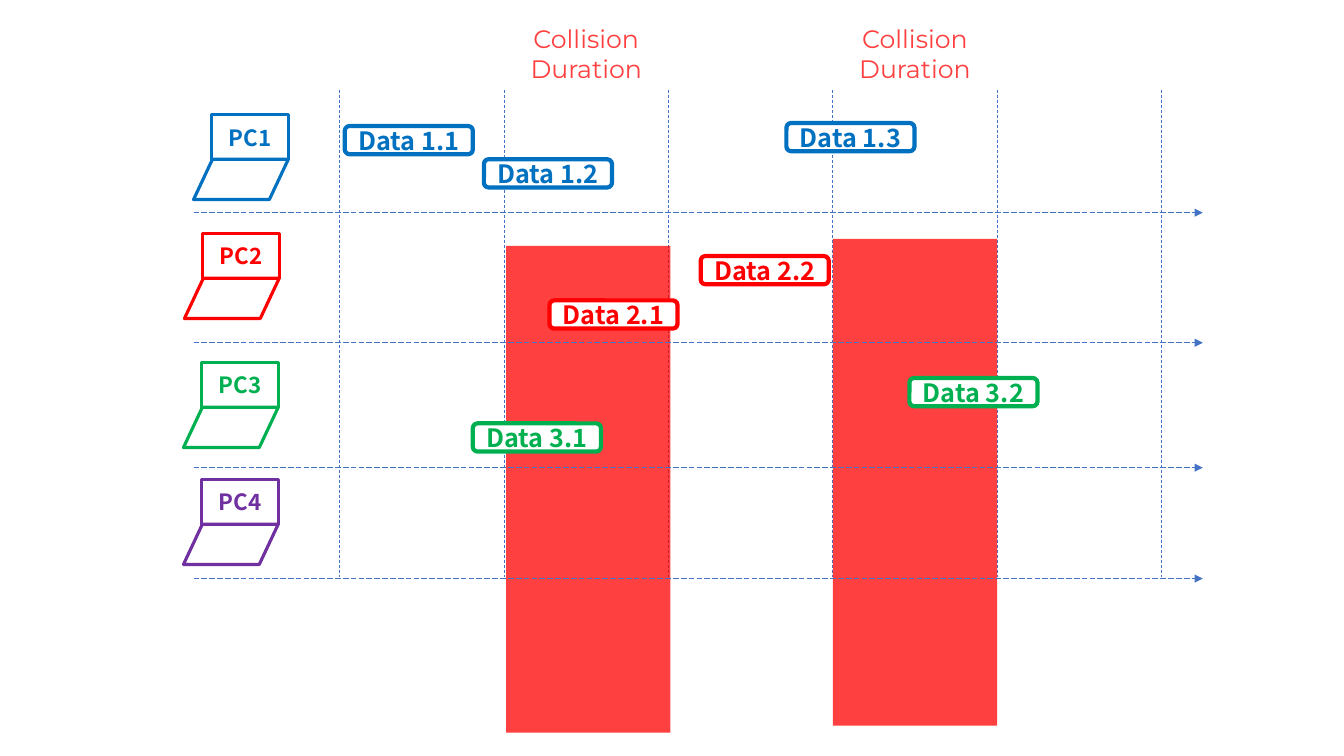
import pptx
import pptx.util
import pptx.dml.color
import pptx.enum.dml
import pptx.enum.shapes
import pptx.enum.text
import pptx.oxml.ns
from lxml import etree

Inches, Pt, RGB = pptx.util.Inches, pptx.util.Pt, pptx.dml.color.RGBColor
SHAPE, DASH = pptx.enum.shapes.MSO_SHAPE, pptx.enum.dml.MSO_LINE
qn = pptx.oxml.ns.qn

BLUE, RED = RGB(0x00, 0x70, 0xC0), RGB(0xFF, 0x00, 0x00)
GREEN, PURPLE = RGB(0x00, 0xB0, 0x50), RGB(0x70, 0x30, 0xA0)
GRID, CORAL, WHITE = RGB(0x44, 0x72, 0xC4), RGB(0xFF, 0x40, 0x40), RGB(0xFF, 0xFF, 0xFF)
BOLD_FONT, LABEL_FONT = "Noto Sans CJK JP", "Montserrat"

SLOT_LEFT, SLOT_W, SLOT_TOP, SLOT_BOTTOM = 3.37, 1.63, 0.89, 5.72
BAR_H = 4.83
PACKET_W, PACKET_H = 1.27, 0.28
SCREEN_H, KEYBOARD_H, KEYBOARD_SHIFT = 0.44, 0.4, 0.18

LANES = [
    ("PC1", BLUE, 1.92, 1.14, 2.11, [("Data 1.1", 3.42, 1.25), ("Data 1.2", 4.8, 1.58), ("Data 1.3", 7.8, 1.22)]),
    ("PC2", RED, 1.83, 2.32, 3.4, [("Data 2.1", 5.45, 2.98), ("Data 2.2", 6.95, 2.54)]),
    ("PC3", GREEN, 1.82, 3.6, 4.64, [("Data 3.1", 4.69, 4.2), ("Data 3.2", 9.02, 3.75)]),
    ("PC4", PURPLE, 1.82, 4.76, 5.74, []),
]
COLLISIONS = [(1, 5.02, 2.44), (3, 8.26, 2.37)]


def slot_x(i):
    """Return the left edge of time slot i."""
    return SLOT_LEFT + i * SLOT_W


def write(tf, text, size, font, color, bold=False):
    """Put centred, formatted text in a frame."""
    tf.text = text
    for p in tf.paragraphs:
        p.alignment = pptx.enum.text.PP_ALIGN.CENTER
        for r in p.runs:
            r.font.size, r.font.name, r.font.bold = Pt(size), font, bold
            r.font.color.rgb = color


def add_box(s, kind, x, y, w, h, fill=None, line=None, width=0):
    """Add a preset shape with a plain fill and outline."""
    sp = s.shapes.add_shape(kind, Inches(x), Inches(y), Inches(w), Inches(h))
    sp.shadow.inherit = False
    if fill is None:
        sp.fill.background()
    else:
        sp.fill.solid()
        sp.fill.fore_color.rgb = fill
    if line is None:
        sp.line.fill.background()
    else:
        sp.line.color.rgb = line
        sp.line.width = Pt(width)
    return sp


def label_box(sp, text, size, color):
    """Centre a bold one-line label in a shape."""
    tf = sp.text_frame
    tf.margin_left = tf.margin_right = tf.margin_top = tf.margin_bottom = 0
    tf.word_wrap = False
    tf.vertical_anchor = pptx.enum.text.MSO_ANCHOR.MIDDLE
    write(tf, text, size, BOLD_FONT, color, True)


def add_line(s, x1, y1, x2, y2, dash, arrow=False):
    """Add a thin dashed line, with an arrowhead at its end if asked."""
    c = s.shapes.add_connector(pptx.enum.shapes.MSO_CONNECTOR.STRAIGHT,
                               Inches(x1), Inches(y1), Inches(x2), Inches(y2))
    c.line.color.rgb = GRID
    c.line.width = Pt(0.5)
    c.line.dash_style = dash
    if arrow:
        etree.SubElement(c.line._get_or_add_ln(), qn("a:tailEnd"), type="triangle")
    etree.SubElement(c._element.spPr, qn("a:effectLst"))


def add_collision(s, slot, x, y):
    """Draw the translucent bar of a collision and its heading."""
    bar = add_box(s, SHAPE.RECTANGLE, x, y, SLOT_W, BAR_H, RED)
    color = bar._element.spPr.find(qn("a:solidFill"))[0]
    etree.SubElement(color, qn("a:alpha"), val="75000")
    tb = s.shapes.add_textbox(Inches(slot_x(slot) + 0.03), Inches(0.18), Inches(1.57), Inches(0.71))
    tb.text_frame.word_wrap = True
    write(tb.text_frame, "Collision\nDuration", 18, LABEL_FONT, CORAL)


def add_laptop(s, name, color, x, y):
    """Draw a laptop as a labelled screen over a slanted keyboard."""
    w = 0.94
    screen = add_box(s, SHAPE.RECTANGLE, x + KEYBOARD_SHIFT, y, w - KEYBOARD_SHIFT, SCREEN_H,
                     line=color, width=2.25)
    label_box(screen, name, 16, color)
    add_box(s, SHAPE.FLOWCHART_DATA, x, y + SCREEN_H, w, KEYBOARD_H, line=color, width=2.25)


def add_lane(s, name, color, x, y, axis_y, packets):
    """Draw one computer, its time axis and its data packets."""
    add_laptop(s, name, color, x, y)
    add_line(s, 1.92, axis_y, 11.93, axis_y, DASH.LONG_DASH, arrow=True)
    for text, px, py in packets:
        packet = add_box(s, SHAPE.ROUNDED_RECTANGLE, px, py, PACKET_W, PACKET_H, WHITE, color, 3)
        label_box(packet, text, 18, color)


def main():
    """Build the collision timeline slide."""
    prs = pptx.Presentation()
    prs.slide_width, prs.slide_height = Inches(13.33), Inches(7.5)
    s = prs.slides.add_slide(prs.slide_layouts[6])
    for i in range(6):
        add_line(s, slot_x(i), SLOT_TOP, slot_x(i), SLOT_BOTTOM, DASH.DASH)
    for collision in COLLISIONS:
        add_collision(s, *collision)
    for lane in LANES:
        add_lane(s, *lane)
    prs.save("out.pptx")


if __name__ == "__main__":
    main()
